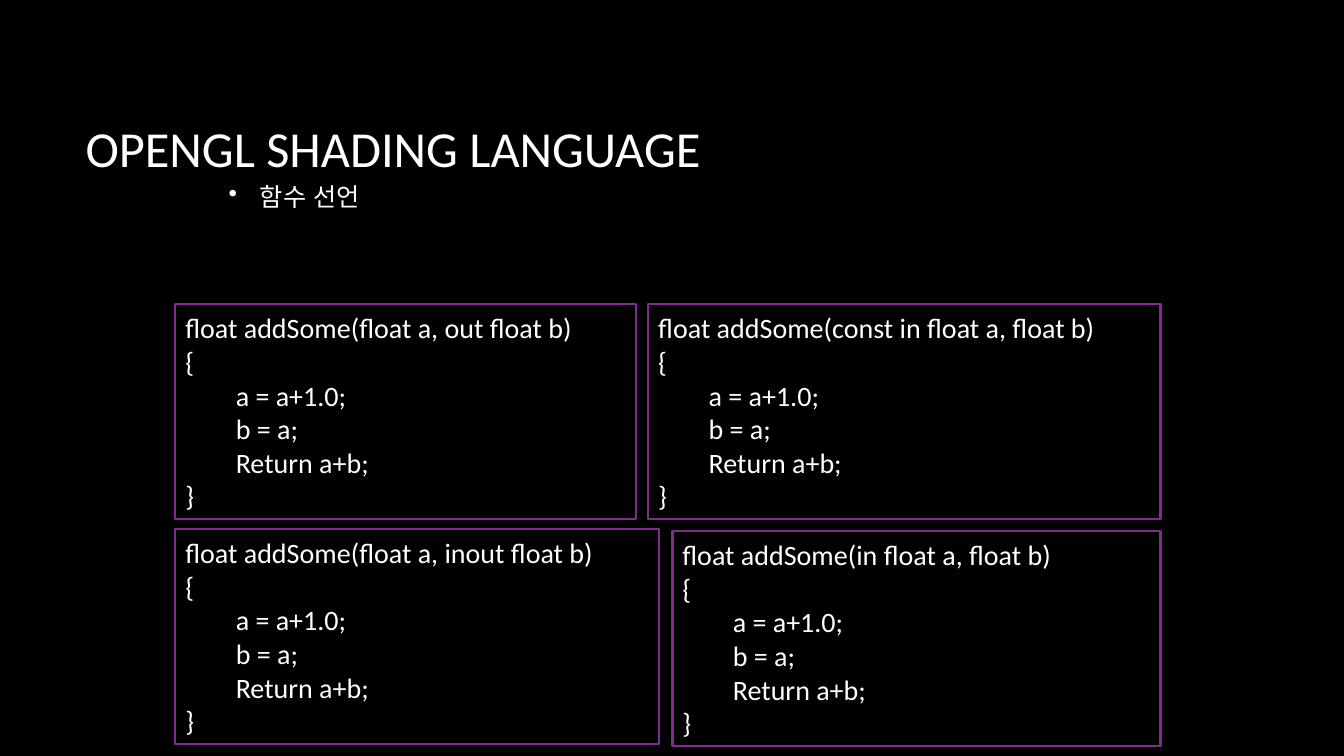
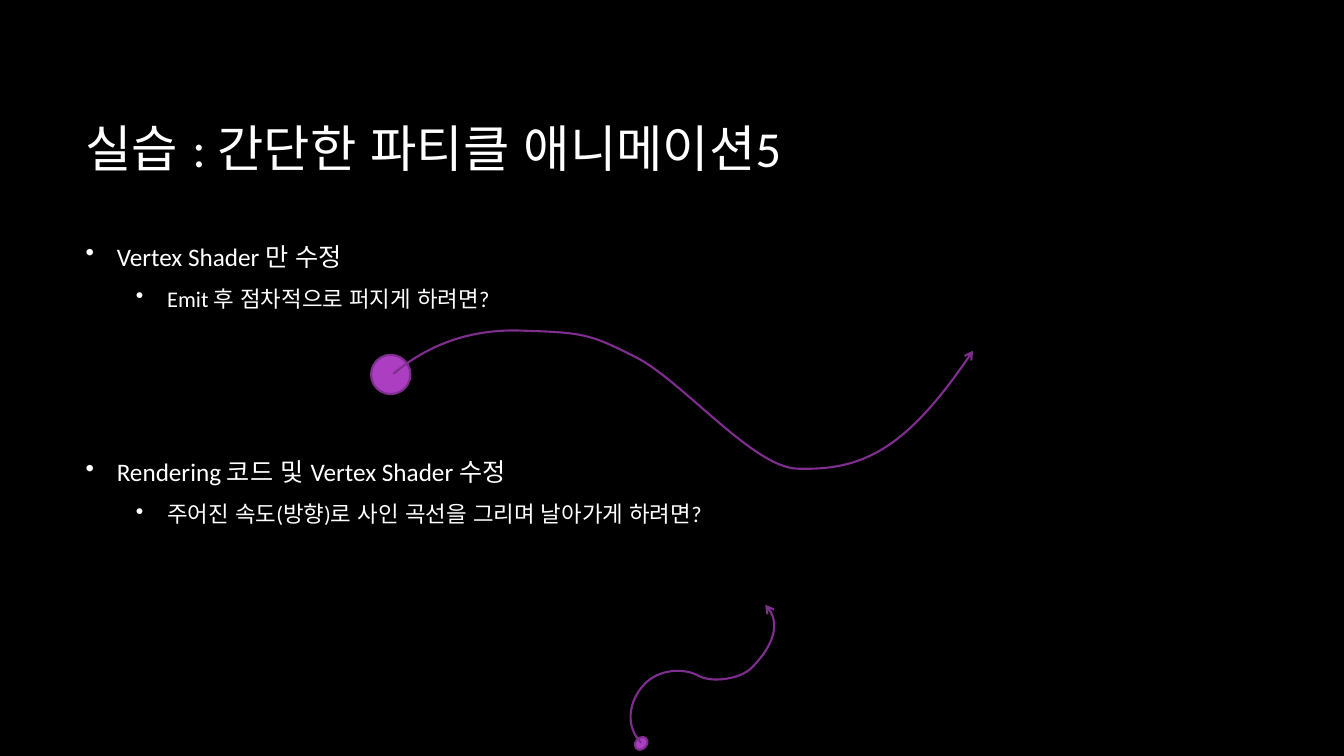
from dataclasses import dataclass

from lxml import etree
from pptx import Presentation
from pptx.dml.color import RGBColor
from pptx.enum import lang, shapes, text
from pptx.oxml.ns import qn
from pptx.util import Inches, Pt


@dataclass(frozen=True)
class Theme:
    """Colours, font and sizes shared by the slides."""
    background: RGBColor = RGBColor(0, 0, 0)
    ink: RGBColor = RGBColor(255, 255, 255)
    accent: RGBColor = RGBColor(0xAC, 0x3E, 0xC1)
    outline: RGBColor = RGBColor(0x7F, 0x2E, 0x8F)
    font: str = "Calibri"
    title: int = 36
    code: int = 20
    body: tuple = (18, 16)
    stroke: float = 1.5


THEME = Theme()
TITLE_BOX = (0.75, 0.67, 11.08, 1.59)


def inches(box):
    """Turn a sequence of numbers into lengths."""
    return [Inches(value) for value in box]


def add_bullet(paragraph):
    """Give a paragraph a round bullet in the ink colour."""
    properties = paragraph._p.get_or_add_pPr()
    colour = etree.SubElement(properties, qn("a:buClr"))
    etree.SubElement(colour, qn("a:srgbClr")).set("val", str(THEME.ink))
    etree.SubElement(properties, qn("a:buChar")).set("char", "•")


def write(paragraph, content, *, size, level=0, left=0, hanging=0,
          before=None, after=None, bullet=False):
    """Write one formatted paragraph."""
    paragraph.alignment = text.PP_ALIGN.LEFT
    paragraph.level = level
    properties = paragraph._p.get_or_add_pPr()
    properties.set("marL", str(Inches(left)))
    properties.set("indent", str(Inches(-hanging)))
    if before:
        paragraph.space_before = Pt(before)
    if after:
        paragraph.space_after = Pt(after)
    if bullet:
        add_bullet(paragraph)
    run = paragraph.add_run()
    run.text = content
    run.font.name = THEME.font
    run.font.language_id = lang.MSO_LANGUAGE_ID.KOREAN
    run.font.size = Pt(size)
    run.font.color.rgb = THEME.ink


def fill_frame(frame, items, anchor):
    """Fill a text frame with pairs of content and format."""
    frame.word_wrap = True
    frame.vertical_anchor = anchor
    for index, (content, style) in enumerate(items):
        paragraph = frame.add_paragraph() if index else frame.paragraphs[0]
        write(paragraph, content, **style)


def outline(shape, fill=None):
    """Apply the purple outline and an optional fill."""
    shape.shadow.inherit = False
    shape.line.color.rgb = THEME.outline
    shape.line.width = Pt(THEME.stroke)
    if fill is None:
        shape.fill.background()
    else:
        shape.fill.solid()
        shape.fill.fore_color.rgb = fill


def add_titled_slide(deck, heading):
    """Add a blank slide with its title."""
    slide = deck.slides.add_slide(deck.slide_layouts[6])
    title = slide.shapes.add_textbox(*inches(TITLE_BOX))
    fill_frame(title.text_frame, [(heading, dict(size=THEME.title))],
               text.MSO_ANCHOR.MIDDLE)
    return slide


def add_bullets(slide, box, topics):
    """Place bulleted topics given as level, content and space before."""
    items = [
        (content, dict(size=THEME.body[level], level=level,
                       left=0.31 + 0.5 * level, hanging=0.31, before=before,
                       after=10, bullet=True))
        for level, content, before in topics
    ]
    body = slide.shapes.add_textbox(*inches(box))
    fill_frame(body.text_frame, items, text.MSO_ANCHOR.TOP)


def add_code(slide, box, parameters):
    """Place an outlined function with the given parameters."""
    panel = slide.shapes.add_shape(shapes.MSO_SHAPE.RECTANGLE, *inches(box))
    outline(panel)
    flush = dict(size=THEME.code)
    inner = dict(size=THEME.code, level=1, left=0.5)
    items = [(f"float addSome({parameters})", flush), ("{", flush)]
    items += [(line, inner) for line in ("a = a+1.0;", "b = a;", "Return a+b;")]
    items.append(("}", flush))
    fill_frame(panel.text_frame, items, text.MSO_ANCHOR.MIDDLE)


def add_trajectory(slide, points):
    """Draw cubic curves through a start point and triples of points, with an arrowhead."""
    start, *rest = [inches(point) for point in points]
    builder = slide.shapes.build_freeform(*start)
    builder.add_line_segments(rest, close=False)
    curve = builder.convert_to_shape()
    outline(curve)
    route = next(curve._element.iter(qn("a:path")))
    segments = route.findall(qn("a:lnTo"))
    for index in range(0, len(segments), 3):
        cubic = etree.SubElement(route, qn("a:cubicBezTo"))
        for segment in segments[index:index + 3]:
            cubic.append(segment[0])
            route.remove(segment)
    head = etree.SubElement(curve.line._get_or_add_ln(), qn("a:tailEnd"))
    head.set("type", "arrow")


def add_particle(slide, box, trajectory, rotation=0):
    """Place a particle and the path it follows."""
    particle = slide.shapes.add_shape(shapes.MSO_SHAPE.OVAL, *inches(box))
    particle.rotation = rotation
    outline(particle, THEME.accent)
    add_trajectory(slide, trajectory)


def build_functions(deck):
    """Build the slide on function declarations."""
    slide = add_titled_slide(deck, "OPENGL SHADING LANGUAGE")
    add_bullets(slide, (2.17, 1.75, 9, 0.98), [(0, "함수 선언", None)])
    left, right, height = 1.74, 11.51, 2.13
    declarations = [
        (left, 3.02, 4.57, "float a, out float b"),
        (right - 5.08, 3.02, 5.08, "const in float a, float b"),
        (left, 5.25, 4.8, "float a, inout float b"),
        (right - 4.84, 5.27, 4.84, "in float a, float b"),
    ]
    for x, y, width, parameters in declarations:
        add_code(slide, (x, y, width, height), parameters)


def build_exercise(deck):
    """Build the slide with the particle exercise."""
    slide = add_titled_slide(deck, "실습 : 간단한 파티클 애니메이션5")
    add_bullets(slide, (0.75, 2.34, 11.08, 3.99), [
        (0, "Vertex Shader 만 수정", None),
        (1, "Emit 후 점차적으로 퍼지게 하려면?", None),
        (0, "Rendering 코드 및 Vertex Shader 수정", 93),
        (1, "주어진 속도(방향)로 사인 곡선을 그리며 날아가게 하려면?", None),
    ])
    add_particle(slide, (6.29, 7.32, 0.14, 0.11), [
        (6.36, 7.37),
        (6.2, 7.21), (6.23, 6.96), (6.39, 6.79),
        (6.54, 6.63), (6.79, 6.63), (6.92, 6.7),
        (7.05, 6.78), (7.35, 6.74), (7.46, 6.62),
        (7.62, 6.46), (7.78, 6.18), (7.59, 6),
    ], rotation=312.9)
    add_particle(slide, (3.68, 3.52, 0.39, 0.39), [
        (3.9, 3.71),
        (4.14, 3.51), (4.54, 3.26), (5.16, 3.28),
        (5.79, 3.3), (5.84, 3.31), (6.3, 3.54),
        (6.76, 3.77), (7.47, 4.64), (7.91, 4.65),
        (8.55, 4.67), (9, 4.45), (9.65, 3.48),
    ])


def main():
    """Build and save the presentation."""
    deck = Presentation()
    deck.slide_width, deck.slide_height = inches((13.33, 7.5))
    backdrop = deck.slide_master.background.fill
    backdrop.solid()
    backdrop.fore_color.rgb = THEME.background
    build_functions(deck)
    build_exercise(deck)
    deck.save("out.pptx")


if __name__ == "__main__":
    main()
